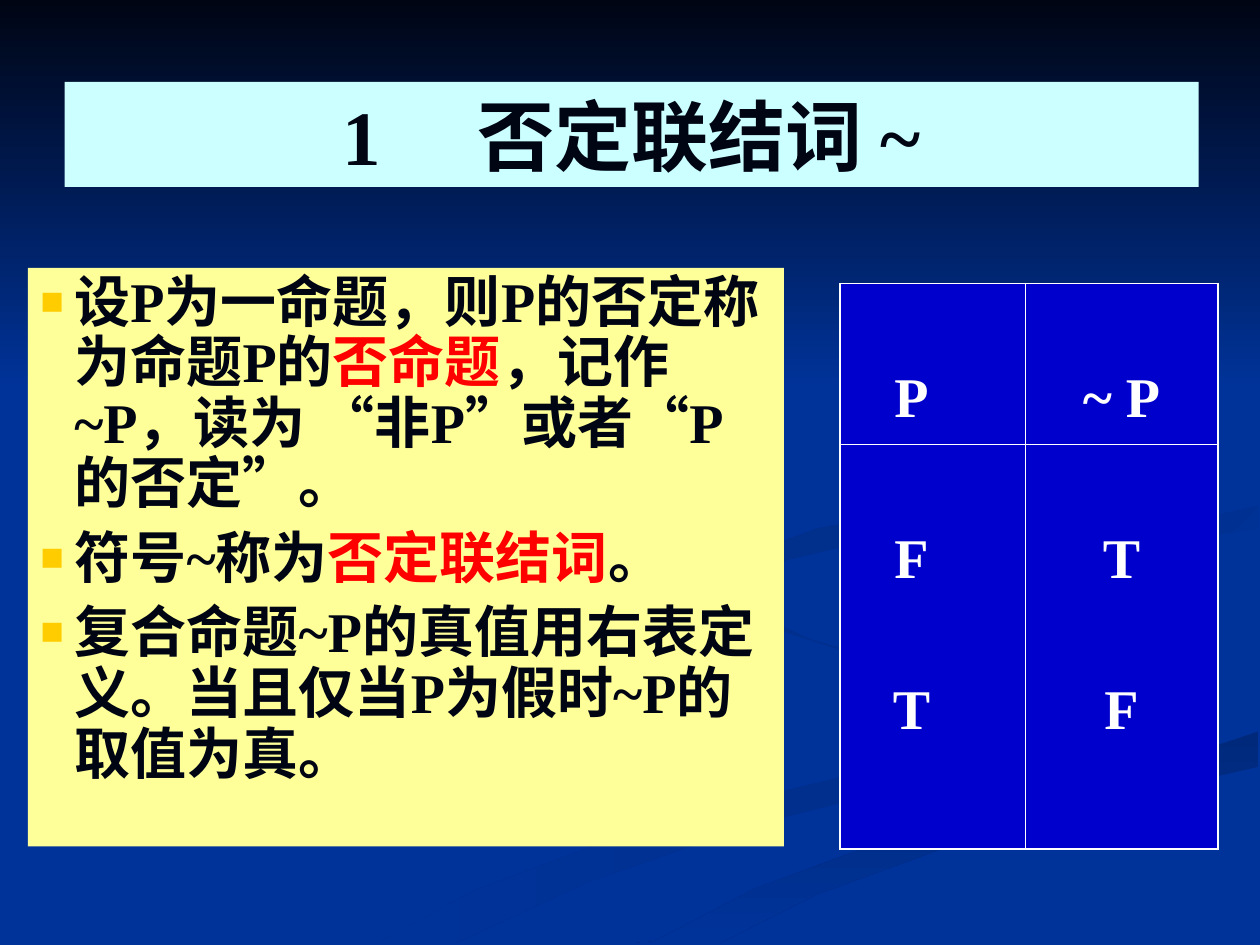
from lxml import etree
from pptx import Presentation
from pptx.dml.color import RGBColor
from pptx.enum.shapes import MSO_SHAPE
from pptx.enum.text import MSO_ANCHOR, PP_ALIGN
from pptx.oxml.ns import qn
from pptx.util import Pt

RECTANGLE = MSO_SHAPE.RECTANGLE
CENTER = PP_ALIGN.CENTER
TOP, MIDDLE = MSO_ANCHOR.TOP, MSO_ANCHOR.MIDDLE

FONT = "Times New Roman"
NAVY, BLUE, WHITE, RED = "000514", "003399", "FFFFFF", "FF0000"
OUTER_LINE, INNER_LINE = 1.08, 0.45

# Points of each swoosh, start colour, end colour, clockwise angle
SWOOSHES = [
    ([(562, 398), (526, 384), (462, 365), (428, 349), (414, 330), (410, 340),
      (433, 356), (489, 374), (534, 388), (562, 400), (566, 408), (552, 423),
      (514, 436), (444, 453), (359, 476), (271, 509), (216, 539), (260, 539),
      (336, 504), (428, 472), (519, 449), (562, 436), (576, 418), (570, 404)],
     "002E8A", BLUE, 180),
    ([(679, 410), (662, 394), (612, 377), (557, 362), (528, 348), (521, 334),
      (523, 345), (544, 364), (587, 382), (634, 395), (656, 408), (661, 418),
      (644, 436), (666, 427), (678, 418)], "002E8A", BLUE, 225),
    ([(362, 539), (411, 539), (467, 511), (541, 484), (620, 461), (719, 438),
      (719, 418), (674, 433), (598, 453), (501, 482), (431, 508), (374, 538)],
     "00297C", BLUE, 90),
    ([(562, 331), (570, 344), (595, 357), (580, 343), (585, 333), (618, 319),
      (674, 309), (719, 302), (719, 289), (672, 299), (611, 307), (575, 318)],
     BLUE, "002C85", 225),
    ([(492, 310), (566, 297), (616, 282), (642, 255), (634, 221), (591, 188),
      (549, 168), (595, 192), (631, 220), (639, 246), (613, 269), (549, 287),
      (467, 302), (424, 318), (415, 333), (448, 360), (427, 338), (449, 320)],
     BLUE, "002B81", 225),
]

DEFINITION = [
    [("设P为一命题，则P的否定称为命题P的", NAVY), ("否命题", RED),
     ("，记作~P，读为 “非P”或者“P的否定”。", NAVY)],
    [("符号~称为", NAVY), ("否定联结词", RED), ("。", NAVY)],
    [("复合命题~P的真值用右表定义。当且仅当P为假时~P的取值为真。", NAVY)],
]
TRUTH_ROWS = [[["P"], ["~ P"]], [["F", "T"], ["T", "F"]]]


def rgb(color):
    return RGBColor.from_string(color)


def add_run(paragraph, text, size, color):
    run = paragraph.add_run()
    run.text = text
    run.font.size = Pt(size)
    run.font.name = FONT
    run.font.bold = True
    run.font.color.rgb = rgb(color)
    return run


def finish_gradient(shape, start, end, angle):
    """Fill with a two-colour gradient; angle runs clockwise."""
    shape.shadow.inherit = False
    shape.line.fill.background()
    shape.fill.gradient()
    shape.fill.gradient_angle = 360 - angle
    for stop, color in zip(shape.fill.gradient_stops, (start, end)):
        stop.color.rgb = rgb(color)


def add_backdrop(slide, width, sky_height):
    slide.background.fill.solid()
    slide.background.fill.fore_color.rgb = rgb(BLUE)
    for points, start, end, angle in SWOOSHES:
        corners = [(Pt(x), Pt(y)) for x, y in points]
        builder = slide.shapes.build_freeform(*corners[0])
        builder.add_line_segments(corners[1:], close=True)
        finish_gradient(builder.convert_to_shape(), start, end, angle)
    sky = slide.shapes.add_shape(RECTANGLE, 0, 0, Pt(width), Pt(sky_height))
    finish_gradient(sky, NAVY, BLUE, 90)


def add_panel(slide, box, color, anchor):
    """Add a plain filled rectangle and return its text frame."""
    panel = slide.shapes.add_shape(RECTANGLE, *map(Pt, box))
    panel.shadow.inherit = False
    panel.line.fill.background()
    panel.fill.solid()
    panel.fill.fore_color.rgb = rgb(color)
    frame = panel.text_frame
    frame.word_wrap = True
    frame.vertical_anchor = anchor
    return frame


def add_title(slide, box):
    heading = add_panel(slide, box, "CCFFFF", MIDDLE).paragraphs[0]
    heading.alignment = CENTER
    add_run(heading, "1", 44, NAVY)
    gap = add_run(heading, " ", 44, NAVY)
    gap.font._element.set("spc", "4400")
    add_run(heading, "否定联结词 ~", 44, NAVY)


def add_bullet(paragraph):
    properties = paragraph._p.get_or_add_pPr()
    properties.set("marL", str(Pt(19.44)))
    properties.set("indent", str(-Pt(19.44)))
    color = etree.SubElement(properties, qn("a:buClr"))
    etree.SubElement(color, qn("a:srgbClr"), val="FFCC00")
    etree.SubElement(properties, qn("a:buSzPct"), val="70000")
    etree.SubElement(properties, qn("a:buFont"), typeface=FONT)
    etree.SubElement(properties, qn("a:buChar"), char="■")


def add_definition(slide, box):
    frame = add_panel(slide, box, "FFFF99", TOP)
    for index, parts in enumerate(DEFINITION):
        item = frame.paragraphs[0] if index == 0 else frame.add_paragraph()
        add_bullet(item)
        item.alignment = PP_ALIGN.LEFT
        item.line_spacing = 0.9
        item.space_before = Pt(8 if index else 0)
        for text, color in parts:
            add_run(item, text, 32, color)


def set_borders(cell, widths):
    """Draw white borders; widths follow left, right, top, bottom."""
    properties = cell._tc.get_or_add_tcPr()
    for index, (side, width) in enumerate(zip("LRTB", widths)):
        line = etree.Element(qn(f"a:ln{side}"), w=str(Pt(width)))
        fill = etree.SubElement(line, qn("a:solidFill"))
        etree.SubElement(fill, qn("a:srgbClr"), val=WHITE)
        properties.insert(index, line)


def fill_truth_cell(cell, values, row, column):
    cell.fill.solid()
    cell.fill.fore_color.rgb = rgb("0000CC")
    cell.vertical_anchor = TOP
    cell.margin_top = Pt(48)
    if column == 0:
        cell.margin_right = Pt(31.2)
    set_borders(cell, [OUTER_LINE if edge else INNER_LINE for edge in
                       (column == 0, column == 1, row == 0, row == 1)])
    frame = cell.text_frame
    for index, value in enumerate(values):
        entry = frame.paragraphs[0] if index == 0 else frame.add_paragraph()
        entry.alignment = CENTER
        entry.space_before = Pt(50.6 if index else 0)
        add_run(entry, value, 32, WHITE)


def add_truth_table(slide, box, column_widths, row_heights):
    table = slide.shapes.add_table(2, 2, *map(Pt, box)).table
    table.first_row = table.horz_banding = False
    for column, width in zip(table.columns, column_widths):
        column.width = Pt(width)
    for row, height in zip(table.rows, row_heights):
        row.height = Pt(height)
    for r, row_values in enumerate(TRUTH_ROWS):
        for c, values in enumerate(row_values):
            fill_truth_cell(table.cell(r, c), values, r, c)


def main():
    presentation = Presentation()
    presentation.slide_width, presentation.slide_height = Pt(720), Pt(540)
    slide = presentation.slides.add_slide(presentation.slide_layouts[6])
    add_backdrop(slide, 720, 222)
    add_title(slide, (37, 46.8, 648, 60))
    add_definition(slide, (16, 153, 432, 330.6))
    add_truth_table(slide, (480, 162, 216, 323.2), (105.8, 110.2), (92, 231.2))
    presentation.save("out.pptx")


if __name__ == "__main__":
    main()
